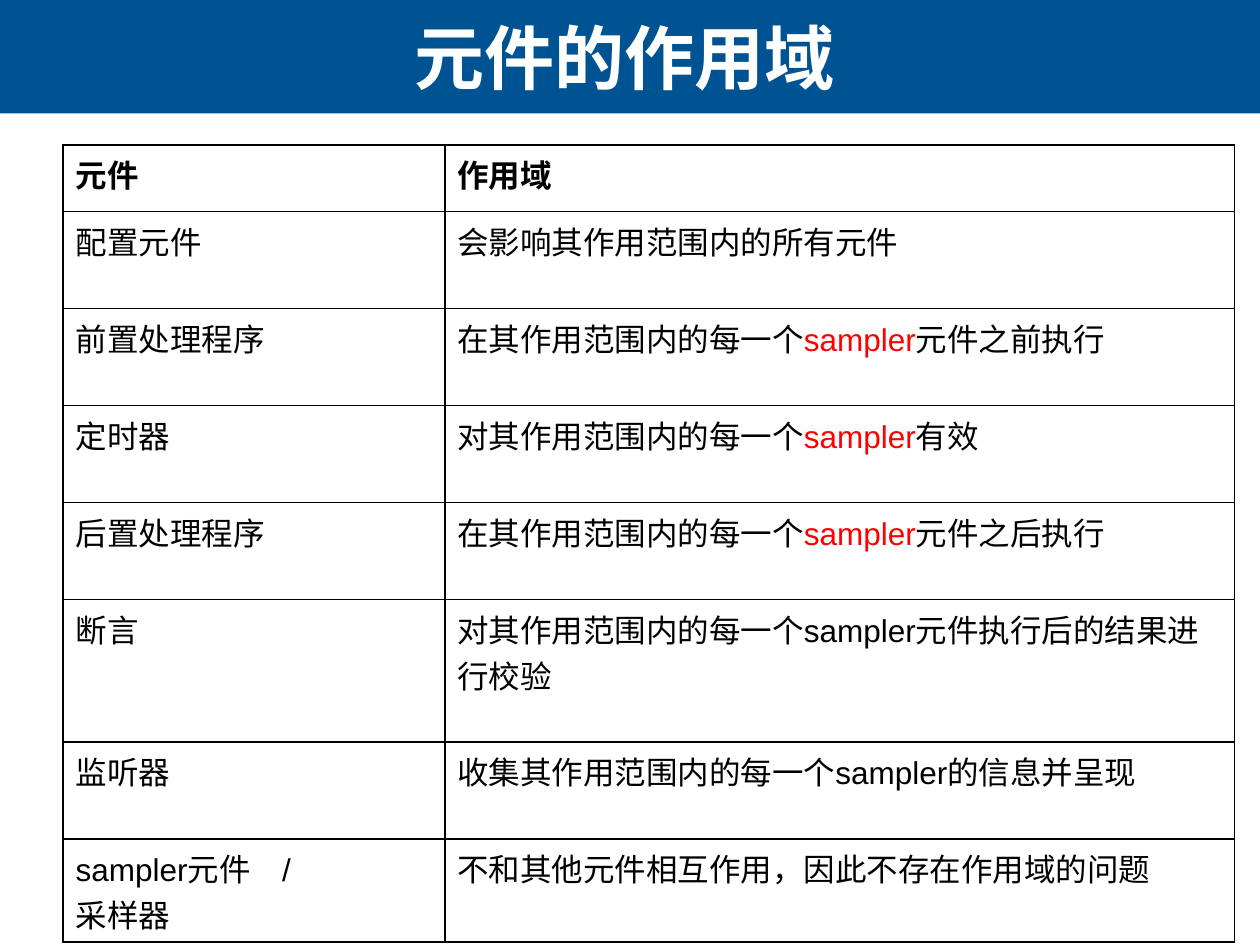
from typing import NamedTuple

from lxml.etree import SubElement
from pptx import Presentation
from pptx.dml.color import RGBColor
from pptx.enum.shapes import MSO_SHAPE
from pptx.enum.text import MSO_ANCHOR, PP_ALIGN
from pptx.oxml.ns import qn
from pptx.util import Inches, Pt

COLOURS = {"band": "005392", "title": "FFFFFF", "text": "000000", "accent": "FF0000"}
WIDTH, HEIGHT = 10, 7.5
BAND_SHARE = 0.12
COLUMN_WIDTHS = (3.03, 6.27)
TABLE_LEFT, TABLE_TOP = 0.5, 1.15
KEYWORD = "sampler"


class ScopeRow(NamedTuple):
    """One element, its scope and the height of its row."""
    element: str
    scope: str
    height: float = 0.77
    font: str = "Arial"
    bold: bool = False
    marked: bool = False


ROWS = (
    ScopeRow("元件", "作用域", 0.53, "Calibri", bold=True),
    ScopeRow("配置元件", "会影响其作用范围内的所有元件"),
    ScopeRow("前置处理程序", "在其作用范围内的每一个sampler元件之前执行", marked=True),
    ScopeRow("定时器", "对其作用范围内的每一个sampler有效", marked=True),
    ScopeRow("后置处理程序", "在其作用范围内的每一个sampler元件之后执行", marked=True),
    ScopeRow("断言", "对其作用范围内的每一个sampler元件执行后的结果进行校验", 1.13),
    ScopeRow("监听器", "收集其作用范围内的每一个sampler的信息并呈现"),
    ScopeRow("sampler元件\u3000/\n采样器", "不和其他元件相互作用，因此不存在作用域的问题", 0.82),
)


def colour(key: str) -> RGBColor:
    """Look up a named colour."""
    return RGBColor.from_string(COLOURS[key])


def add_run(paragraph, text: str, key: str, **formats) -> None:
    """Append a run with the given font values."""
    run = paragraph.add_run()
    run.text = text
    for name, value in formats.items():
        setattr(run.font, name, value)
    run.font.color.rgb = colour(key)


def border_cell(cell) -> None:
    """Draw a one point line on each side of a cell."""
    properties = cell._tc.get_or_add_tcPr()
    for position, side in enumerate(("lnL", "lnR", "lnT", "lnB")):
        line = properties.makeelement(qn(f"a:{side}"), {"w": str(Pt(1))})
        properties.insert(position, line)
        fill = SubElement(line, qn("a:solidFill"))
        SubElement(fill, qn("a:srgbClr"), val=COLOURS["text"])


def fill_cell(cell, text: str, row: ScopeRow) -> None:
    """Write a cell, colouring the keyword in marked scopes."""
    cell.fill.background()
    border_cell(cell)
    formats = {"name": row.font, "size": Pt(18), "bold": row.bold}
    frame = cell.text_frame
    for index, line in enumerate(text.split("\n")):
        paragraph = frame.add_paragraph() if index else frame.paragraphs[0]
        if row.marked and KEYWORD in line:
            before, word, after = line.partition(KEYWORD)
            pieces = ((before, "text"), (word, "accent"), (after, "text"))
        else:
            pieces = ((line, "text"),)
        for piece, key in pieces:
            add_run(paragraph, piece, key, **formats)


def add_heading(slide, text: str) -> None:
    """Draw the title band and the title on it."""
    band_height = Inches(HEIGHT * BAND_SHARE)
    band = slide.shapes.add_shape(MSO_SHAPE.RECTANGLE, 0, 0, Inches(WIDTH), band_height)
    band.shadow.inherit = False
    band.fill.solid()
    band.fill.fore_color.rgb = colour("band")
    band.line.fill.background()
    title = slide.shapes.add_textbox(Inches(0.02), 0, Inches(9.87), band_height)
    frame = title.text_frame
    for name, value in {"word_wrap": True, "vertical_anchor": MSO_ANCHOR.MIDDLE}.items():
        setattr(frame, name, value)
    paragraph = frame.paragraphs[0]
    paragraph.alignment = PP_ALIGN.CENTER
    add_run(paragraph, text, "title", name="Arial", size=Pt(40), bold=True)


def add_scope_table(slide) -> None:
    """Draw the table of elements and scopes."""
    table = slide.shapes.add_table(
        len(ROWS), len(COLUMN_WIDTHS), Inches(TABLE_LEFT), Inches(TABLE_TOP),
        Inches(sum(COLUMN_WIDTHS)), Inches(sum(row.height for row in ROWS))).table
    table.horz_banding = False
    for column, width in zip(table.columns, COLUMN_WIDTHS):
        column.width = Inches(width)
    for table_row, row in zip(table.rows, ROWS):
        table_row.height = Inches(row.height)
        for cell, text in zip(table_row.cells, (row.element, row.scope)):
            fill_cell(cell, text, row)


def main() -> None:
    """Build and save the slide."""
    deck = Presentation()
    deck.slide_width, deck.slide_height = Inches(WIDTH), Inches(HEIGHT)
    slide = deck.slides.add_slide(deck.slide_layouts[6])
    add_heading(slide, "元件的作用域")
    add_scope_table(slide)
    deck.save("out.pptx")


main()
